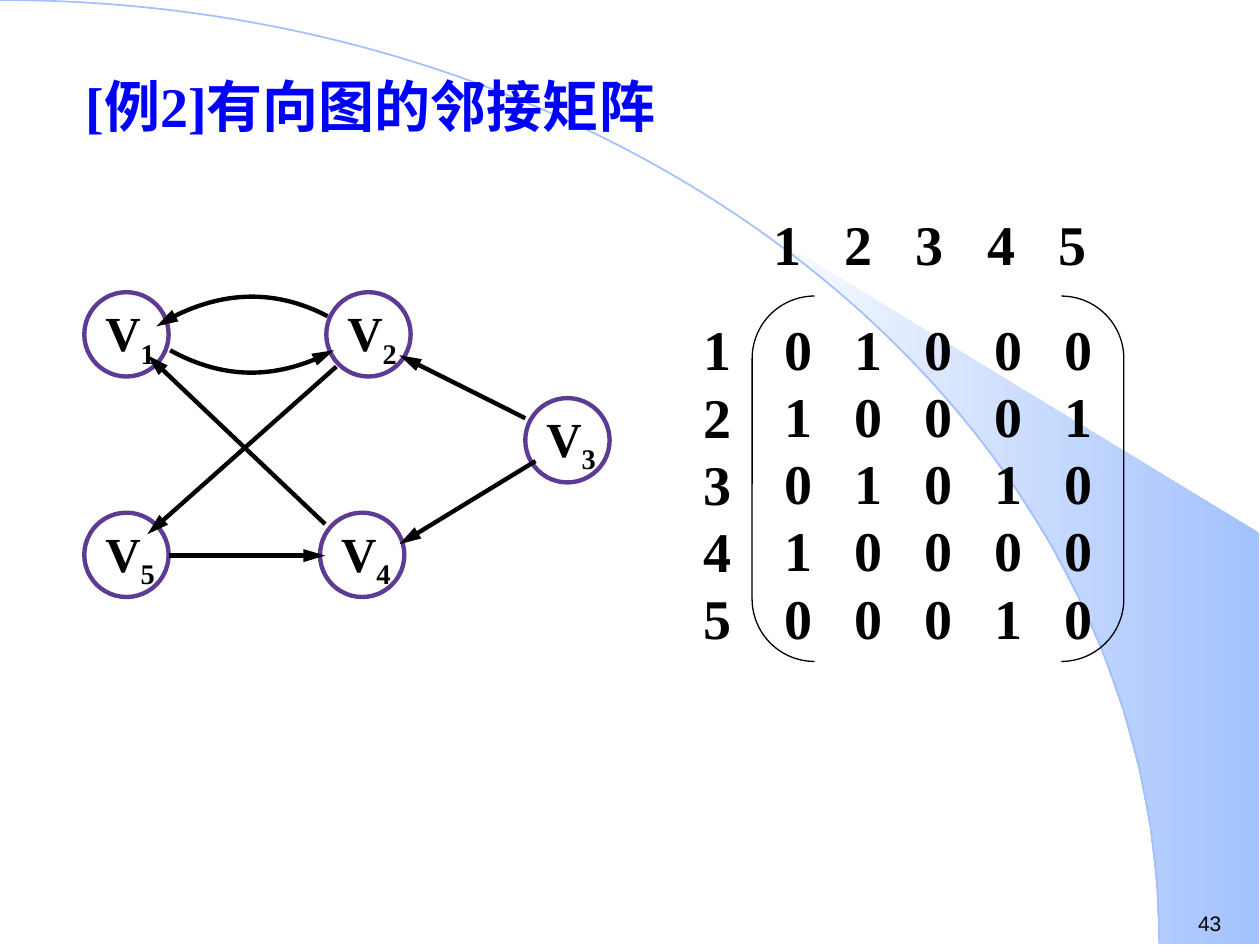
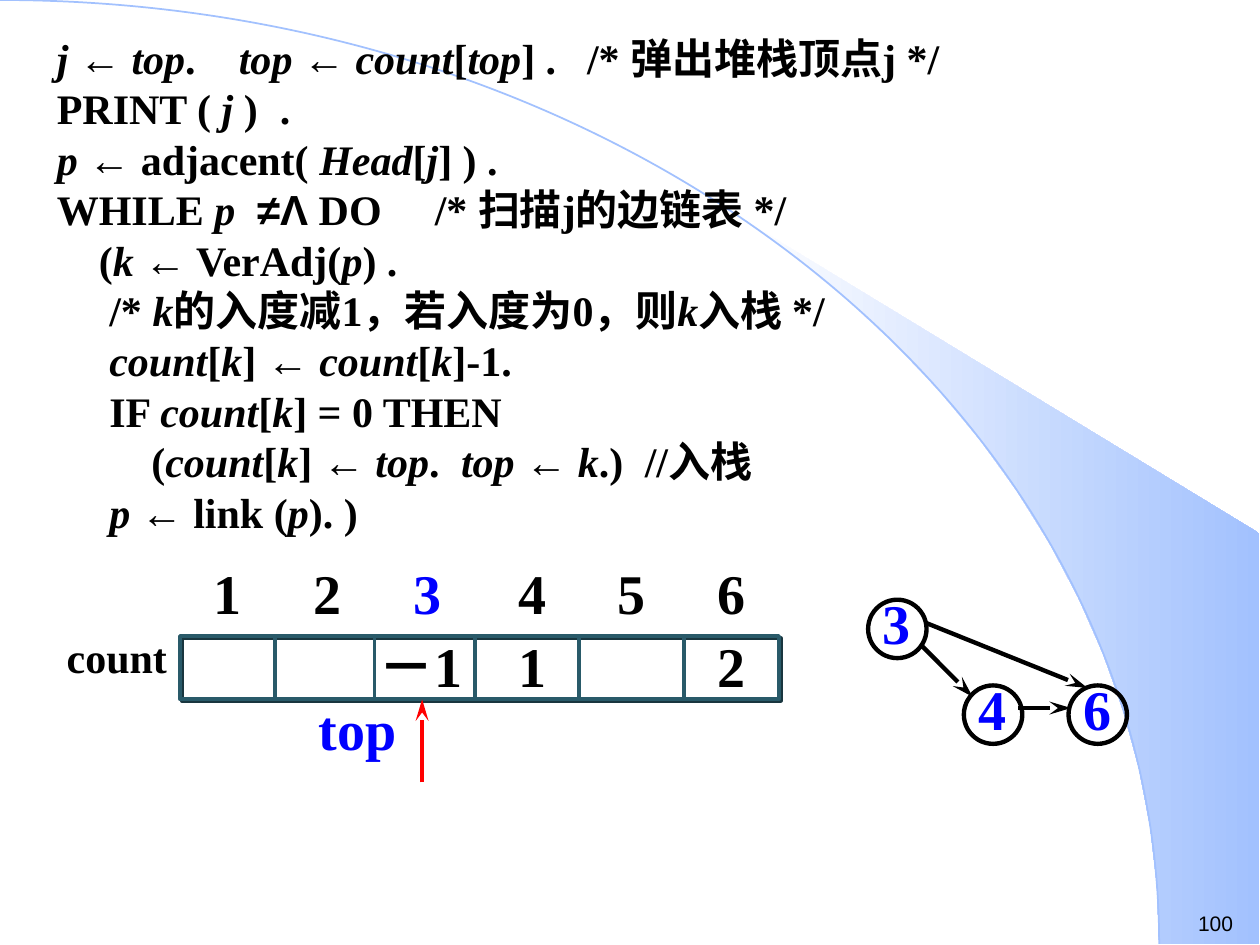
from itertools import groupby
from math import asin, cos, pi, radians, sin

from lxml import etree
from pptx import Presentation
from pptx.dml.color import RGBColor
from pptx.enum import shapes, text
from pptx.oxml.ns import qn
from pptx.util import Pt

COLOURS = {
    "black": "000000", "blue": "0000FF", "sky": "A2C1FE", "white": "FFFFFF",
    "purple": "5D3B95", "teal": "295A69", "shade": "19363F", "red": "FF0000",
}
SERIF, SANS = "Times New Roman", "Arial"
WIDTH, HEIGHT = 720, 540
ARC_RADII = (662.4, 539.3)
ARC_CONTROLS = ((0, 0), (365.8, 0), (662.4, 241.2), ARC_RADII)

TITLE = "[例2]有向图的邻接矩阵"
VERTICES = {"1": (48.2, 167), "2": (186.5, 167), "3": (300.2, 227.5),
            "4": (182.9, 293), "5": (48.2, 293)}
EDGES = [
    ((300.2, 239), (228.2, 203)), ((306, 263.5), (228.2, 311)),
    ((96.5, 317.5), (185.8, 317.5)), ((192.2, 209.5), (84.2, 305.3)),
    ((185.8, 299.5), (84.2, 203)),
]
CURVED_EDGES = [
    (((97.2, 200.2), (127.4, 216.7), (162.7, 216), (190.8, 200.2)),
     (108.7, 136.8, 86.4, 90), 32.3),
    (((187.2, 180.7), (157, 164.9), (119.5, 167), (89.3, 186.5)),
     (102.2, 154.8, 88.6, 90), 322.8),
]
MATRIX = ["01000", "10001", "01010", "10000", "00010"]

CODE = [
    ("_j_ ← _top_.\t_top_ ← _count_[_top_] .\t/* 弹出堆栈顶点j */", (104, 303)),
    ("PRINT ( _j_ )\t.", (127.5,)),
    ("_p_ ← adjacent( _Head_[_j_] ) .", ()),
    ("WHILE _p_\t≠Λ DO\t/* 扫描j的边链表 */", (114.5, 216)),
    ("    (_k_ ← VerAdj(_p_) .", ()),
    ("     /* _k_的入度减1，若入度为0，则_k_入栈 */", ()),
    ("     _count_[_k_] ← _count_[_k_]-1.", ()),
    ("     IF _count_[_k_] = 0 THEN", ()),
    ("         (_count_[_k_] ← _top_.\t_top_ ← _k_.)\t//入栈", (231, 336)),
    ("     _p_ ← link (_p_). )", ()),
]
CELL_EDGES = [157, 214, 271.5, 331, 391]
INDEX_CENTRES = [130, 187, 244.5, 304.3, 361, 418]
COUNTS = [("－1", 240.5, 78), ("1", 304.3, 54), ("2", 418, 54)]
SMALL_VERTICES = {"4": (550.8, 391.7), "3": (496.1, 342.7), "6": (610.6, 391.7)}
SMALL_EDGES = [((526.3, 368.6), (555.8, 398.2)), ((581.8, 404.6), (612, 404.6)),
               ((528.5, 355.7), (621.4, 393.1))]


def rgb(name):
    return RGBColor.from_string(COLOURS[name])


def style_run(span, size, colour="black", font=SERIF, bold=True, italic=False):
    span.font.name, span.font.size = font, Pt(size)
    span.font.bold, span.font.italic = bold, italic
    span.font.color.rgb = rgb(colour)


def style_text(frame, size, align="LEFT", **look):
    for para in frame.paragraphs:
        para.alignment = text.PP_ALIGN[align]
        para.line_spacing = Pt(size * 1.2)
        for span in para.runs:
            style_run(span, size, **look)


def set_frame(frame, side=0, top=0):
    frame.margin_left = frame.margin_right = Pt(side)
    frame.margin_top = frame.margin_bottom = Pt(top)
    frame.vertical_anchor = text.MSO_ANCHOR.TOP
    frame.auto_size = text.MSO_AUTO_SIZE.NONE
    frame.word_wrap = True


def add_text(page, words, left, top, width, height, size, insets=(0, 0), **look):
    box = page.shapes.add_textbox(Pt(left), Pt(top), Pt(width), Pt(height))
    set_frame(box.text_frame, *insets)
    box.text_frame.text = words
    style_text(box.text_frame, size, **look)
    return box


def add_label(page, words, left, top, width, size, **look):
    return add_text(page, words, left, top, width, size * 1.2 + 7.2, size,
                    insets=(7.2, 3.6), **look)


def set_tabs(para, stops):
    if not stops:
        return
    tabs = etree.SubElement(para._p.get_or_add_pPr(), qn("a:tabLst"))
    for stop in stops:
        etree.SubElement(tabs, qn("a:tab"), pos=str(Pt(stop)), algn="l")


def set_outline(shape, colour, weight):
    shape.shadow.inherit = False
    shape.fill.background()
    shape.line.color.rgb = rgb(colour)
    shape.line.width = Pt(weight)


def add_outline(page, kind, left, top, width, height, colour, weight=2.5):
    shape = page.shapes.add_shape(kind, Pt(left), Pt(top), Pt(width), Pt(height))
    set_outline(shape, colour, weight)
    return shape


def add_arrowhead(line, kind):
    etree.SubElement(line.line._get_or_add_ln(), qn("a:tailEnd"),
                     type=kind, w="med", len="lg")


def add_line(page, start, end, colour="black", weight=2.5, head=None):
    line = page.shapes.add_connector(
        shapes.MSO_CONNECTOR.STRAIGHT, *(Pt(v) for v in (*start, *end)))
    line.line.color.rgb = rgb(colour)
    line.line.width = Pt(weight)
    if head:
        add_arrowhead(line, head)
    etree.SubElement(line.element.spPr, qn("a:effectLst"))


def add_polyline(page, points, close=False):
    first, *rest = [(Pt(x), Pt(y)) for x, y in points]
    builder = page.shapes.build_freeform(*first)
    builder.add_line_segments(rest, close=close)
    return builder.convert_to_shape()


def add_curve(page, controls, frame, turn, colour, weight):
    left, top, width, height = frame
    shape = add_polyline(page, [(left, top), (left + width, top + height)])
    outline = next(shape.element.spPr.iter(qn("a:path")))
    for part in list(outline):
        outline.remove(part)
    move = etree.SubElement(outline, qn("a:moveTo"))
    bend = etree.SubElement(outline, qn("a:cubicBezTo"))
    angle = radians(turn)
    for place, (x, y) in enumerate(controls):
        dx, dy = x - left - width / 2, y - top - height / 2
        etree.SubElement(
            bend if place else move, qn("a:pt"),
            x=str(Pt(dx * cos(angle) + dy * sin(angle) + width / 2)),
            y=str(Pt(dy * cos(angle) - dx * sin(angle) + height / 2)))
    shape.rotation = turn
    set_outline(shape, colour, weight)
    return shape


def arc_points(start, steps=14):
    wide, high = ARC_RADII
    for step in range(steps + 1):
        angle = start + (pi / 2 - start) * step / steps
        yield wide * sin(angle), high * (1 - cos(angle))


def build_backdrop(deck, page):
    band = add_polyline(page, [*arc_points(asin(0.64)), (719.3, 539.3), (719.3, 304.6)], True)
    band.shadow.inherit = False
    band.fill.gradient()
    band.fill.gradient_angle = 0
    for stop, colour, place in zip(band.fill.gradient_stops, ("white", "sky"), (0, 1)):
        stop.color.rgb, stop.position = rgb(colour), place
    band.line.fill.background()
    arc = add_curve(page, ARC_CONTROLS, (0, 0, *ARC_RADII), 0, "sky", 1)
    for place, shape in enumerate((band, arc)):
        shape.element.nvSpPr.cNvPr.set("id", str(101 + place))
        deck.slide_master.shapes.element.insert(2 + place, shape.element)


def add_page_number(page, number):
    add_label(page, number, 677.5, 516.6, 42.5, 12, font=SANS, bold=False)


def build_matrix_page(page):
    title = page.shapes.title
    title.left, title.top, title.width, title.height = Pt(41.6), Pt(37.4), Pt(624), Pt(54)
    set_frame(title.text_frame, 7.2, 3.6)
    title.text_frame.text = TITLE
    style_text(title.text_frame, 32, colour="blue")

    for digit, (left, top) in VERTICES.items():
        box = add_text(page, "V", left + 12, top + 6.3, 36, 43, 28, insets=(0, 4.4))
        index = box.text_frame.paragraphs[0].add_run()
        index.text = digit
        style_run(index, 28)
        index.font._element.set("baseline", "-25000")
        add_outline(page, shapes.MSO_SHAPE.OVAL, left, top, 48.2, 48.2, "purple")
    for start, end in EDGES:
        add_line(page, start, end, head="triangle")
    for controls, frame, turn in CURVED_EDGES:
        add_arrowhead(add_curve(page, controls, frame, turn, "black", 2.5), "triangle")

    add_text(page, "\n".join("12345"), 390.2, 180, 39.6, 165.6, 32, align="CENTER")
    bracket = add_outline(page, shapes.MSO_SHAPE.DOUBLE_BRACKET,
                          429.8, 169.2, 212.4, 208.8, "black", 0.75)
    bracket.adjustments[0] = 0.171
    frame = bracket.text_frame
    set_frame(frame)
    frame.margin_left = Pt(8)
    frame.text = "\n".join("\t".join(row) for row in MATRIX)
    for para in frame.paragraphs:
        set_tabs(para, range(40, 161, 40))
    style_text(frame, 32)
    header = add_text(page, "\t".join("12345"), 442, 120, 188, 49.7, 32)
    set_tabs(header.text_frame.paragraphs[0], [40.7 * step for step in range(1, 5)])


def add_code(page):
    frame = add_label(page, "", 25.4, 15, 533, 24).text_frame
    for number, (line, stops) in enumerate(CODE):
        para = frame.add_paragraph() if number else frame.paragraphs[0]
        set_tabs(para, stops)
        para.line_spacing = Pt(28.8)
        for place, piece in enumerate(line.split("_")):
            for symbol, letters in groupby(piece, lambda letter: letter in "←≠Λ"):
                span = para.add_run()
                span.text = "".join(letters)
                style_run(span, 24, font=SANS if symbol else SERIF, italic=place % 2 == 1)
    return frame


def add_count_array(page):
    frame = add_outline(page, shapes.MSO_SHAPE.RECTANGLE, 103, 363.6, 342, 36, "teal")
    effects = frame.element.spPr.find(qn("a:effectLst"))
    shadow = etree.SubElement(effects, qn("a:outerShdw"), dist=str(Pt(1.4)),
                              dir="2700000", algn="ctr", rotWithShape="0")
    etree.SubElement(shadow, qn("a:srgbClr"), val=COLOURS["shade"])
    for x in CELL_EDGES:
        add_line(page, (x, 363.6), (x, 399.6), "teal", 2.25)
    for value, centre, width in COUNTS:
        add_label(page, value, centre - width / 2, 357.1, width, 32, align="CENTER")
    for index, centre in enumerate(INDEX_CENTRES, 1):
        add_label(page, str(index), centre - 27, 315.4, 54, 32, align="CENTER",
                  colour="blue" if index == 3 else "black")
    add_label(page, "count", 31, 357.1, 90, 24)
    add_label(page, "top", 175, 393.1, 72, 32, colour="blue")
    add_line(page, (241.2, 447.1), (241.2, 399.6), "red", head="stealth")


def build_code_page(page):
    add_count_array(page)
    for digit, (left, top) in SMALL_VERTICES.items():
        add_outline(page, shapes.MSO_SHAPE.OVAL, left, top, 33.4, 33.4, "black")
        add_text(page, digit, left + 4.2, top - 10.1, 24.5, 46, 32, insets=(0, 3.6),
                 align="CENTER", colour="blue")
    for start, end in SMALL_EDGES:
        add_line(page, start, end, head="stealth")
    add_code(page)
    page.shapes[-1].height = Pt(295.2)


def main():
    deck = Presentation()
    deck.slide_width, deck.slide_height = Pt(WIDTH), Pt(HEIGHT)
    title_only, blank = deck.slide_layouts[5], deck.slide_layouts[6]
    matrix_page = deck.slides.add_slide(title_only)
    code_page = deck.slides.add_slide(blank)
    build_backdrop(deck, matrix_page)
    for page, number in ((matrix_page, "43"), (code_page, "100")):
        add_page_number(page, number)
    build_matrix_page(matrix_page)
    build_code_page(code_page)
    deck.save("out.pptx")


if __name__ == "__main__":
    main()
